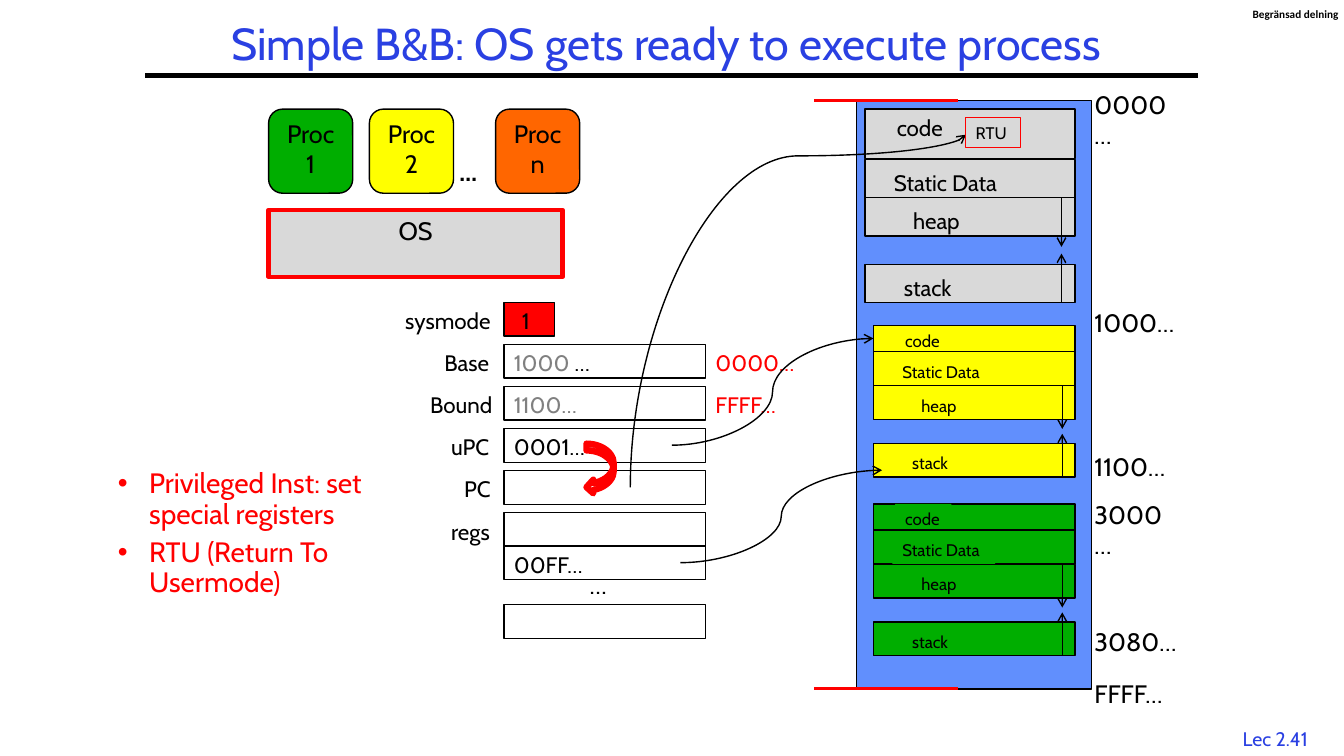
from dataclasses import dataclass
from lxml.etree import SubElement
from pptx import Presentation
from pptx.dml.color import RGBColor
from pptx.enum.shapes import MSO_CONNECTOR, MSO_SHAPE
from pptx.enum.text import MSO_ANCHOR, MSO_AUTO_SIZE, PP_ALIGN
from pptx.oxml.ns import qn
from pptx.util import Cm, Pt


@dataclass(frozen=True)
class Theme:
    font: str = "Cabin"
    blue: str = "2A40E2"
    sky: str = "618FFD"
    red: str = "FF0000"
    black: str = "000000"
    white: str = "FFFFFF"
    pale: str = "D9D9D9"
    grey: str = "808080"
    green: str = "00AE00"
    yellow: str = "FFFF00"
    orange: str = "FF6600"
    title: int = 32
    list: int = 20
    large: int = 18
    mid: int = 16
    page: int = 14
    small: int = 12
    tiny: int = 8


look = Theme()
deck = Presentation()
deck.slide_width, deck.slide_height = Cm(33.87), Cm(19.05)
slide = deck.slides.add_slide(deck.slide_layouts[5])
shapes = slide.shapes
wires = []  # connector, colour, weight, has arrowhead


def box(home, kind, place, fill=None, line=look.black, weight=1):
    """Add a preset shape with flat fill and outline."""
    shape = home.add_shape(kind, *map(Cm, place))
    shape.shadow.inherit = False
    if fill:
        shape.fill.solid()
        shape.fill.fore_color.rgb = RGBColor.from_string(fill)
    else:
        shape.fill.background()
    shape.line.color.rgb = RGBColor.from_string(line)
    shape.line.width = Pt(weight)
    return shape


def write(shape, text, size, color=look.black, align=PP_ALIGN.LEFT, wrap=False):
    """Add one run to the first paragraph; unwrapped shapes fit their text."""
    frame = shape.text_frame
    frame.word_wrap = wrap
    frame.auto_size = MSO_AUTO_SIZE.NONE if wrap else MSO_AUTO_SIZE.SHAPE_TO_FIT_TEXT
    frame.vertical_anchor = MSO_ANCHOR.TOP
    para = frame.paragraphs[0]
    para.alignment = align
    run = para.add_run()
    run.text = text
    run.font.name, run.font.size = look.font, Pt(size)
    run.font.color.rgb = RGBColor.from_string(color)
    return run


# Title, rule and page marks
title = shapes.title
title.left, title.top, title.width, title.height = map(Cm, (4.52, 0.43, 24.56, 1.47))
write(title, "Simple B&B: OS gets ready to execute process", look.title, look.blue,
      PP_ALIGN.CENTER, True)
title.text_frame.vertical_anchor = MSO_ANCHOR.MIDDLE
title.text_frame.paragraphs[0].line_spacing = 0.9
rule = shapes.add_connector(MSO_CONNECTOR.STRAIGHT, Cm(3.66), Cm(1.9), Cm(30.2), Cm(1.9))
wires.append((rule, look.black, 3, False))
page = shapes.add_textbox(Cm(30.91), Cm(18.19), Cm(2.46), Cm(0.84))
write(page, "Lec 2.41", look.page, look.blue, PP_ALIGN.CENTER)
mark = shapes.add_textbox(Cm(31.57), Cm(0.18), Cm(2.18), Cm(0.33))
run = write(mark, "Begränsad delning", look.tiny, wrap=True)
run.font.name, run.font.bold = "Calibri", True
frame = mark.text_frame
frame.margin_left = frame.margin_top = frame.margin_right = frame.margin_bottom = 0

# Bullet list
notes = shapes.add_textbox(Cm(2.72), Cm(11.71), Cm(8.69), Cm(2.97))
notes.text_frame.word_wrap = True
for i, text in enumerate(("Privileged Inst: set special registers",
                          "RTU (Return To Usermode)")):
    para = notes.text_frame.add_paragraph() if i else notes.text_frame.paragraphs[0]
    props = para._p.get_or_add_pPr()
    props.set("marL", str(Cm(0.79)))
    props.set("indent", str(-Cm(0.79)))
    SubElement(props, qn("a:buFont"), typeface="Arial")
    SubElement(props, qn("a:buChar"), char="•")
    para.line_spacing = 0.9
    if i:
        para.space_before = Pt(6)
    run = para.add_run()
    run.text = text
    run.font.name, run.font.size = look.font, Pt(look.list)
    run.font.color.rgb = RGBColor.from_string(look.red)

# Processes above the OS
system = box(shapes, MSO_SHAPE.RECTANGLE, (6.77, 5.29, 7.41, 1.69), look.pale, look.red, 3)
write(system, "OS", look.large, align=PP_ALIGN.CENTER, wrap=True)
for name, left, fill in (("1", 6.77, look.green), ("2", 9.31, look.yellow),
                         ("n", 12.49, look.orange)):
    proc = box(shapes, MSO_SHAPE.ROUNDED_RECTANGLE, (left, 2.75, 2.12, 2.12), fill)
    write(proc, f"Proc {name}", look.large, align=PP_ALIGN.CENTER, wrap=True)
dots = shapes.add_textbox(Cm(11.33), Cm(3.81), Cm(1.14), Cm(1.02))
write(dots, "…", look.large).font.bold = True

# Memory: each block has code, data, heap and stack rows
box(shapes, MSO_SHAPE.RECTANGLE, (21.59, 2.54, 5.92, 14.82), look.sky)
big = ((0, 1.24), (1.27, 0.97), (2.23, 0.97), (3.91, 0.97))
slim = ((0, 0.66), (0.66, 0.85), (1.52, 0.85), (2.97, 0.85))
tags = (("code", 0.55, 0, 1.75, 1.42), ("Static Data", 0.48, 0.12, 3.3, 2.59),
        ("heap", 0.96, 0.12, 1.78, 1.45), ("stack", 0.73, 0.12, 1.85, 1.5))
blocks = (
    (21.8, 2.75, 5.29, big, look.pale, look.mid, 4.95, 1.24, ()),
    (22.01, 8.2, 5.08, slim, look.yellow, look.small, 4.76, 1.09, ("Static Data",)),
    (22.01, 12.7, 5.08, slim, look.green, look.small, 4.76, 1.09, ("code", "Static Data")),
)
for left, top, wide, rows, fill, size, shaft, reach, solid in blocks:
    group = shapes.add_group_shape().shapes
    for (down, high), (name, shift, drop, broad, slight) in zip(rows, tags):
        box(group, MSO_SHAPE.RECTANGLE, (left, top + down, wide, high), fill)
        tag = group.add_textbox(
            Cm(left + shift), Cm(top + down + drop),
            Cm(broad if rows is big else slight), Cm(0.94 if rows is big else 0.76))
        write(tag, name, size)
        if name in solid:
            tag.fill.solid()
            tag.fill.fore_color.rgb = RGBColor.from_string(fill)
    heap, base = top + rows[2][0], top + sum(rows[3])
    for start, end in ((base, base - reach), (heap, heap + reach)):
        wire = group.add_connector(MSO_CONNECTOR.STRAIGHT, Cm(left + shaft), Cm(start),
                                   Cm(left + shaft), Cm(end))
        wires.append((wire, look.black, 1, True))

# Addresses beside the memory
for text, top in (("0000…", 2.12), ("FFFF…", 16.97), ("1000…", 7.62),
                  ("1100…", 11.25), ("3000…", 12.45), ("3080…", 15.67)):
    spot = shapes.add_textbox(Cm(27.33), Cm(top), Cm(2.59), Cm(1.02))
    write(spot, text, look.large)

# Registers: name, name width, top, cell width, fill, value runs
pitch, first = 1.06, 7.62
cells = (
    ("sysmode", 2.79, first, 1.27, look.red, ()),
    ("Base", 1.8, first + pitch, 5.08, None, (("1000 ", look.grey), ("…", look.black))),
    ("Bound", 2.16, first + 2 * pitch, 5.08, None, (("1100…", look.grey),)),
    ("uPC", 1.63, first + 3 * pitch, 5.08, None, (("0001…", look.black),)),
    ("PC", 1.3, first + 4 * pitch, 5.08, None, ()),
    ("regs", 1.63, first + 5 * pitch, 5.08, None, ()),
    ("", 0, 13.76, 5.08, None, (("00FF…", look.black),)),
    ("", 0, 15.24, 5.08, None, ()),
)
for name, broad, top, wide, fill, runs in cells:
    box(shapes, MSO_SHAPE.RECTANGLE, (12.7, top, wide, 0.85), fill)
    if name:
        tag = shapes.add_textbox(Cm(12.75 - broad), Cm(top), Cm(broad), Cm(0.94))
        write(tag, name, look.mid)
    if runs:
        value = shapes.add_textbox(Cm(12.7), Cm(top), Cm(2.8), Cm(0.94))
        for text, color in runs:
            write(value, text, look.mid, color)
for text, left, top, wide, size, color in (
        ("1", 12.9, first, 0.84, look.mid, look.black),
        ("…", 14.61, 14.22, 1.14, look.large, look.black),
        ("0000…", 17.78, first + pitch, 2.8, look.mid, look.red),
        ("FFFF…", 17.78, first + 2 * pitch, 2.8, look.mid, look.red)):
    spot = shapes.add_textbox(Cm(left), Cm(top), Cm(wide), Cm(0.94))
    write(spot, text, size, color)

# Bounds of memory
for top in (2.54, 17.36):
    bound = shapes.add_connector(MSO_CONNECTOR.STRAIGHT, Cm(20.52), Cm(top), Cm(24.13), Cm(top))
    wires.append((bound, look.red, 2.25, False))

# Curves from registers to memory; the first is turned a quarter
for ends, turn, bend in (((24.56, 12.07, 15.67, 3.61), 90, 94000),
                         ((16.93, 11.22, 22.01, 8.53), 0, 50000),
                         ((17.15, 14.18, 22.23, 11.85), 0, 50000)):
    curve = shapes.add_connector(MSO_CONNECTOR.CURVE, *map(Cm, ends))
    curve._element.spPr.find(qn("a:xfrm")).set("rot", str(turn * 60000))
    guides = curve._element.spPr.find(qn("a:prstGeom")).find(qn("a:avLst"))
    SubElement(guides, qn("a:gd"), name="adj1", fmla=f"val {bend}")
    wires.append((curve, look.black, 1, True))

# Return to user mode
jump = box(shapes, MSO_SHAPE.RECTANGLE, (24.34, 2.96, 1.38, 0.76), None, look.red, 0.75)
write(jump, "RTU", look.small)
box(shapes, MSO_SHAPE.CURVED_LEFT_ARROW, (14.78, 11.18, 0.69, 1.27), look.white, look.red, 4.5)

# Line styles
for wire, color, weight, head in wires:
    wire.line.color.rgb = RGBColor.from_string(color)
    wire.line.width = Pt(weight)
    if head:
        SubElement(wire.line._get_or_add_ln(), qn("a:tailEnd"), type="arrow")
    SubElement(wire._element.spPr, qn("a:effectLst"))

deck.save("out.pptx")
